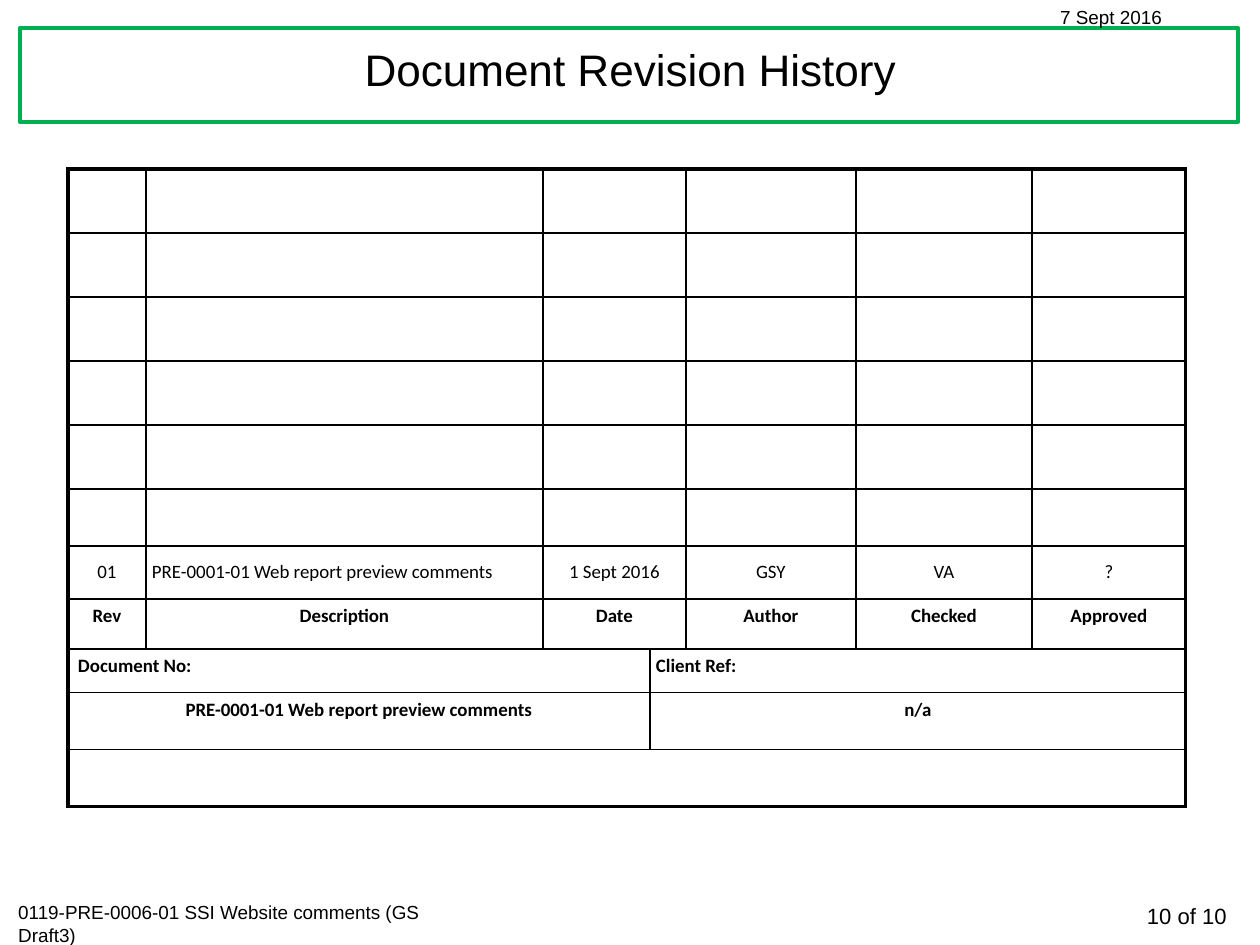
from dataclasses import dataclass

from lxml.etree import SubElement
from pptx import Presentation
from pptx.dml.color import RGBColor
from pptx.enum.shapes import MSO_SHAPE
from pptx.enum.text import MSO_ANCHOR, MSO_AUTO_SIZE, PP_ALIGN
from pptx.oxml.ns import qn
from pptx.slide import Slide
from pptx.table import Table, _Cell
from pptx.text.text import TextFrame
from pptx.util import Emu, Pt

EMU_PER_PX = 8064


@dataclass(frozen=True)
class Theme:
    ink: RGBColor = RGBColor(0x00, 0x00, 0x00)
    paper: RGBColor = RGBColor(0xFF, 0xFF, 0xFF)
    frame: RGBColor = RGBColor(0x00, 0xB0, 0x50)
    heading_font: str = "Arial"
    table_font: str = "Calibri"
    title_size: int = 28
    page_size: int = 14
    small_size: int = 12
    frame_width: float = 2.75
    outer_rule: float = 2.25
    inner_rule: float = 1


THEME = Theme()


@dataclass(frozen=True)
class Box:
    left: int
    top: int
    width: int
    height: int

    def emu(self) -> tuple[Emu, Emu, Emu, Emu]:
        return px(self.left), px(self.top), px(self.width), px(self.height)


@dataclass(frozen=True)
class Label:
    text: str
    box: Box
    size: int = THEME.small_size
    align: PP_ALIGN = PP_ALIGN.LEFT


@dataclass(frozen=True)
class Entry:
    text: str = ""
    span: int = 1
    align: PP_ALIGN = PP_ALIGN.CENTER
    bold: bool = True
    anchor: MSO_ANCHOR = MSO_ANCHOR.TOP
    inset: int = 6


SLIDE_SIZE = (1260, 945)
FRAME_BOX = Box(20, 28, 1218, 94)
TITLE_BOX = Box(24, 28, 1212, 88)
LABELS = (
    Label("10 of 10", Box(1066, 897, 172, 39), THEME.page_size, PP_ALIGN.RIGHT),
    Label("0119-PRE-0006-01 SSI Website comments (GS Draft3)", Box(7, 895, 452, 57)),
    Label("7 Sept 2016", Box(1049, 0, 191, 34)),
)

HISTORY_ORIGIN = (68, 169)
COLUMN_WIDTHS = (78, 397, 107, 36, 170, 176, 154)
ROW_HEIGHTS = (64,) * 5 + (57, 53, 50, 44, 57, 57)
REVISION_SPANS = (1, 1, 2, 1, 1, 1)
HEADINGS = ("Rev", "Description", "Date", "Author", "Checked", "Approved")
DOCUMENT = "PRE-0001-01 Web report preview comments"
REVISION = ("01", DOCUMENT, "1 Sept 2016", "GSY", "VA", "?")

BLANK_ROW = tuple(Entry(span=span) for span in REVISION_SPANS)
REVISION_ROW = tuple(
    Entry(text, span, PP_ALIGN.LEFT if text == DOCUMENT else PP_ALIGN.CENTER,
          bold=False, anchor=MSO_ANCHOR.MIDDLE)
    for text, span in zip(REVISION, REVISION_SPANS)
)
HEADING_ROW = tuple(Entry(text, span) for text, span in zip(HEADINGS, REVISION_SPANS))
HISTORY = (BLANK_ROW,) * 6 + (
    REVISION_ROW,
    HEADING_ROW,
    (Entry("Document No:", 3, PP_ALIGN.LEFT, inset=10),
     Entry("Client Ref:", 4, PP_ALIGN.LEFT)),
    (Entry(DOCUMENT, 3), Entry("n/a", 4)),
    (Entry(span=7),),
)


def px(length: int) -> Emu:
    return Emu(length * EMU_PER_PX)


def write(frame: TextFrame, text: str, font: str, size: int,
          align: PP_ALIGN, bold: bool = False) -> None:
    paragraph = frame.paragraphs[0]
    paragraph.alignment = align
    run = paragraph.add_run()
    run.text = text
    run.font.name = font
    run.font.size = Pt(size)
    run.font.bold = bold
    run.font.color.rgb = THEME.ink


def draw_title(slide: Slide) -> None:
    title = slide.shapes.title
    title.left, title.top, title.width, title.height = TITLE_BOX.emu()
    title.text_frame.word_wrap = True
    title.text_frame.auto_size = MSO_AUTO_SIZE.NONE
    title.text_frame.vertical_anchor = MSO_ANCHOR.MIDDLE
    write(title.text_frame, "Document Revision History", THEME.heading_font,
          THEME.title_size, PP_ALIGN.CENTER)
    title.text_frame.paragraphs[0].line_spacing = 0.9

    border = slide.shapes.add_shape(MSO_SHAPE.RECTANGLE, *FRAME_BOX.emu())
    border.shadow.inherit = False
    border.fill.solid()
    border.fill.fore_color.rgb = THEME.paper
    border.line.color.rgb = THEME.frame
    border.line.width = Pt(THEME.frame_width)
    title.element.addprevious(border.element)


def draw_label(slide: Slide, label: Label) -> None:
    frame = slide.shapes.add_textbox(*label.box.emu()).text_frame
    frame.word_wrap = True
    frame.auto_size = MSO_AUTO_SIZE.SHAPE_TO_FIT_TEXT
    write(frame, label.text, THEME.heading_font, label.size, label.align)


def rule_cell(cell: _Cell, outer_sides: dict[str, bool]) -> None:
    properties = cell._tc.get_or_add_tcPr()
    for side, outer in outer_sides.items():
        width = THEME.outer_rule if outer else THEME.inner_rule
        rule = SubElement(properties, qn(f"a:ln{side}"), w=str(Pt(width)))
        fill = SubElement(rule, qn("a:solidFill"))
        SubElement(fill, qn("a:srgbClr"), val=str(THEME.ink))


def draw_entry(table: Table, row: int, column: int, entry: Entry) -> None:
    cell = table.cell(row, column)
    end = column + entry.span
    if entry.span > 1:
        cell.merge(table.cell(row, end - 1))
    cell.margin_left = px(entry.inset)
    cell.margin_right = cell.margin_top = cell.margin_bottom = px(6)
    cell.vertical_anchor = entry.anchor
    rule_cell(cell, {
        "L": column == 0,
        "R": end == len(COLUMN_WIDTHS),
        "T": row == 0,
        "B": row == len(ROW_HEIGHTS) - 1,
    })
    cell.fill.background()
    if entry.text:
        write(cell.text_frame, entry.text, THEME.table_font, THEME.small_size,
              entry.align, entry.bold)


def draw_history(slide: Slide) -> None:
    box = Box(*HISTORY_ORIGIN, sum(COLUMN_WIDTHS), sum(ROW_HEIGHTS))
    table = slide.shapes.add_table(
        len(ROW_HEIGHTS), len(COLUMN_WIDTHS), *box.emu()).table
    table.first_row = False
    table.horz_banding = False
    for column, width in zip(table.columns, COLUMN_WIDTHS):
        column.width = px(width)
    for row, height in zip(table.rows, ROW_HEIGHTS):
        row.height = px(height)
    for row_index, entries in enumerate(HISTORY):
        column_index = 0
        for entry in entries:
            draw_entry(table, row_index, column_index, entry)
            column_index += entry.span


def main() -> None:
    deck = Presentation()
    deck.slide_width, deck.slide_height = map(px, SLIDE_SIZE)
    slide = deck.slides.add_slide(deck.slide_layouts.get_by_name("Title Only"))
    draw_title(slide)
    for label in LABELS:
        draw_label(slide, label)
    draw_history(slide)
    deck.save("out.pptx")


if __name__ == "__main__":
    main()
